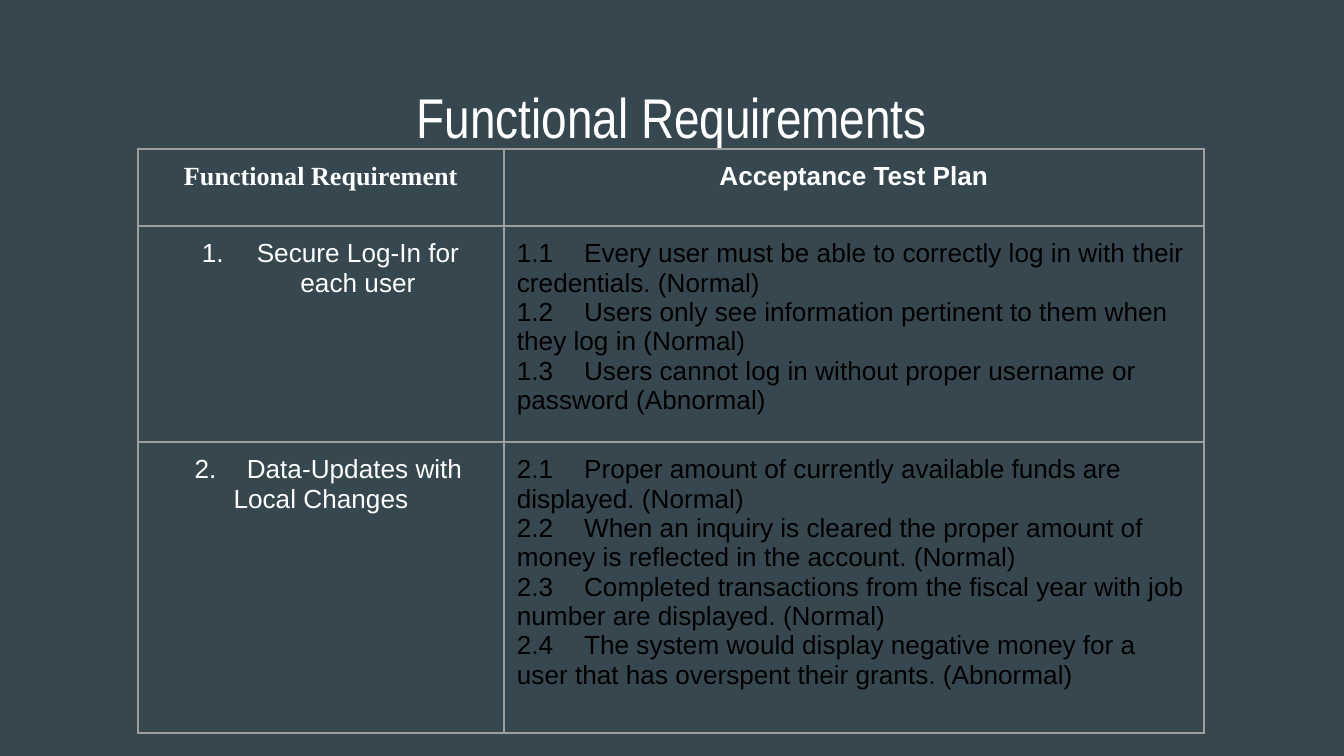
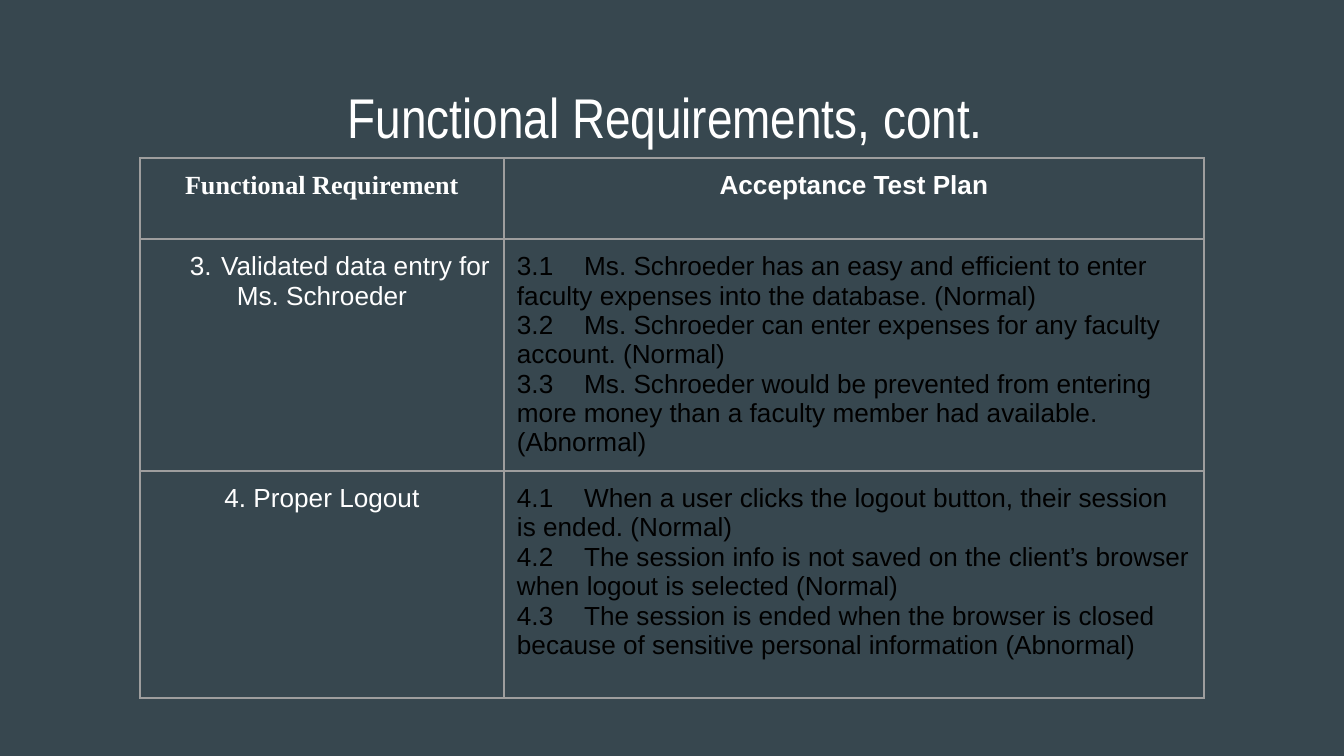
"""Two slides of functional requirements, each a title over a test plan table."""
from dataclasses import dataclass

from lxml import etree
from pptx import Presentation, util as u
from pptx.dml.color import RGBColor
from pptx.enum import text as t
from pptx.oxml.ns import qn

SCALE = 914400 / 134.4
PAGE = (1344, 756)
BACK, WHITE, BLACK, GREY = "37474F", "FFFFFF", "000000", "9E9E9E"
SANS, SERIF, NARROW = "Arial", "Times New Roman", "Arial Narrow"
INSET = 13
HEADS = (("Functional Requirement", SERIF), ("Acceptance Test Plan", SANS))


@dataclass(frozen=True)
class Need:
    """One requirement with its tests; indents and tab stops in pixels."""
    label: str
    tests: tuple[str, ...]
    high: int
    test_tab: int = 87
    tab: int = 0
    left: int = 0
    first: int = 0
    auto: bool = False


@dataclass(frozen=True)
class Page:
    """One slide: its title, table corner, first column and rows."""
    title: str
    left: int
    top: int
    wide: int
    head: int
    needs: tuple[Need, ...]


PAGES = (
    Page("Functional Requirements", 138, 149, 366, 77, (
        Need("Secure Log-In for each user", (
            "1.1\tEvery user must be able to correctly log in with their credentials. (Normal)",
            "1.2\tUsers only see information pertinent to them when they log in (Normal)",
            "1.3\tUsers cannot log in without proper username or password (Abnormal)",
        ), 216, left=74, first=-55, auto=True),
        Need("2.\tData-Updates with Local Changes", (
            "2.1\tProper amount of currently available funds are displayed. (Normal)",
            "2.2\tWhen an inquiry is cleared the proper amount of money is "
            "reflected in the account. (Normal)",
            "2.3\tCompleted transactions from the fiscal year with job number "
            "are displayed. (Normal)",
            "2.4\tThe system would display negative money for a user that has "
            "overspent their grants. (Abnormal)",
        ), 291, tab=88, first=15),
    )),
    Page("Functional Requirements, cont. ", 140, 158, 364, 81, (
        Need("3.\tValidated data entry for Ms. Schroeder", (
            "3.1\tMs. Schroeder has an easy and efficient to enter faculty "
            "expenses into the database. (Normal)",
            "3.2\tMs. Schroeder can enter expenses for any faculty account. (Normal)",
            "3.3\tMs. Schroeder would be prevented from entering more money "
            "than a faculty member had available. (Abnormal)",
        ), 232, tab=80, first=36),
        Need("4. Proper Logout", (
            "4.1\tWhen a user clicks the logout button, their session is ended. (Normal)",
            "4.2\tThe session info is not saved on the client’s browser when "
            "logout is selected (Normal)",
            "4.3\tThe session is ended when the browser is closed because of "
            "sensitive personal information (Abnormal)",
        ), 227, test_tab=80),
    )),
)


def px(n: float) -> u.Emu:
    """Turn pixels into EMU."""
    return u.Emu(round(n * SCALE))


def paint(fill, tint: str) -> None:
    """Give a fill one solid colour."""
    fill.solid()
    fill.fore_color.rgb = RGBColor.from_string(tint)


def write(para, words: str, tint: str, face: str = SANS, size: int = 14,
          bold: bool = False, mid: bool = True) -> None:
    """Add one styled run to a paragraph and align it."""
    para.alignment = t.PP_ALIGN.CENTER if mid else t.PP_ALIGN.LEFT
    run = para.add_run()
    run.text = words
    run.font.name, run.font.size, run.font.bold = face, u.Pt(size), bold
    paint(run.font.fill, tint)


def indent(para, left: int = 0, first: int = 0, tab: int = 0,
           auto: bool = False) -> None:
    """Set the indents, numbering and tab stop of a paragraph."""
    props = para._p.get_or_add_pPr()
    props.set("marL", str(px(left)))
    props.set("indent", str(px(first)))
    if auto:
        tint = etree.SubElement(props, qn("a:buClr"))
        etree.SubElement(tint, qn("a:srgbClr"), val=WHITE)
        etree.SubElement(props, qn("a:buFont"), typeface=SANS)
        etree.SubElement(props, qn("a:buAutoNum"), type="arabicPeriod")
    if tab:
        stops = etree.SubElement(props, qn("a:tabLst"))
        etree.SubElement(stops, qn("a:tab"), pos=str(px(tab)), algn="l")


def frame(cell) -> None:
    """Clear the fill of a cell, set its insets and draw its borders."""
    cell.margin_left = cell.margin_right = px(INSET)
    cell.margin_top = cell.margin_bottom = px(INSET)
    cell.vertical_anchor = t.MSO_ANCHOR.TOP
    props = cell._tc.get_or_add_tcPr()
    for side in ("lnL", "lnR", "lnT", "lnB"):
        line = etree.SubElement(props, qn(f"a:{side}"), w=str(u.Pt(0.75)))
        fill = etree.SubElement(line, qn("a:solidFill"))
        etree.SubElement(fill, qn("a:srgbClr"), val=GREY)
    cell.fill.background()


def title(slide, words: str) -> None:
    """Place and fill the title placeholder."""
    shape = slide.shapes.title
    shape.left, shape.top, shape.width, shape.height = map(px, (46, 66, 1252, 85))
    box = shape.text_frame
    box.word_wrap, box.auto_size = True, t.MSO_AUTO_SIZE.NONE
    box.vertical_anchor = t.MSO_ANCHOR.TOP
    box.margin_left = box.margin_right = box.margin_bottom = px(INSET)
    box.margin_top = px(17)
    write(box.paragraphs[0], words, WHITE, NARROW, 30)


def grid(slide, page: Page) -> None:
    """Draw the table of requirements and tests."""
    highs = [page.head] + [need.high for need in page.needs]
    wides = (page.wide, 700)
    table = slide.shapes.add_table(
        len(highs), len(wides), px(page.left), px(page.top),
        px(sum(wides)), px(sum(highs))).table
    table.first_row = table.horz_banding = False
    for col, wide in zip(table.columns, wides):
        col.width = px(wide)
    for row, high in zip(table.rows, highs):
        row.height = px(high)
    for cell in table.iter_cells():
        frame(cell)
    for col, (words, face) in enumerate(HEADS):
        write(table.cell(0, col).text_frame.paragraphs[0], words, WHITE, face, bold=True)
    for row, need in enumerate(page.needs, 1):
        para = table.cell(row, 0).text_frame.paragraphs[0]
        indent(para, need.left, need.first, need.tab, need.auto)
        write(para, need.label, WHITE)
        box = table.cell(row, 1).text_frame
        for spot, test in enumerate(need.tests):
            para = box.add_paragraph() if spot else box.paragraphs[0]
            indent(para, tab=need.test_tab)
            write(para, test, BLACK, mid=False)


def main() -> None:
    """Build and save the slides."""
    deck = Presentation()
    deck.slide_width, deck.slide_height = map(px, PAGE)
    paint(deck.slide_master.background.fill, BACK)
    for page in PAGES:
        slide = deck.slides.add_slide(deck.slide_layouts[5])
        title(slide, page.title)
        grid(slide, page)
    deck.save("out.pptx")


main()
